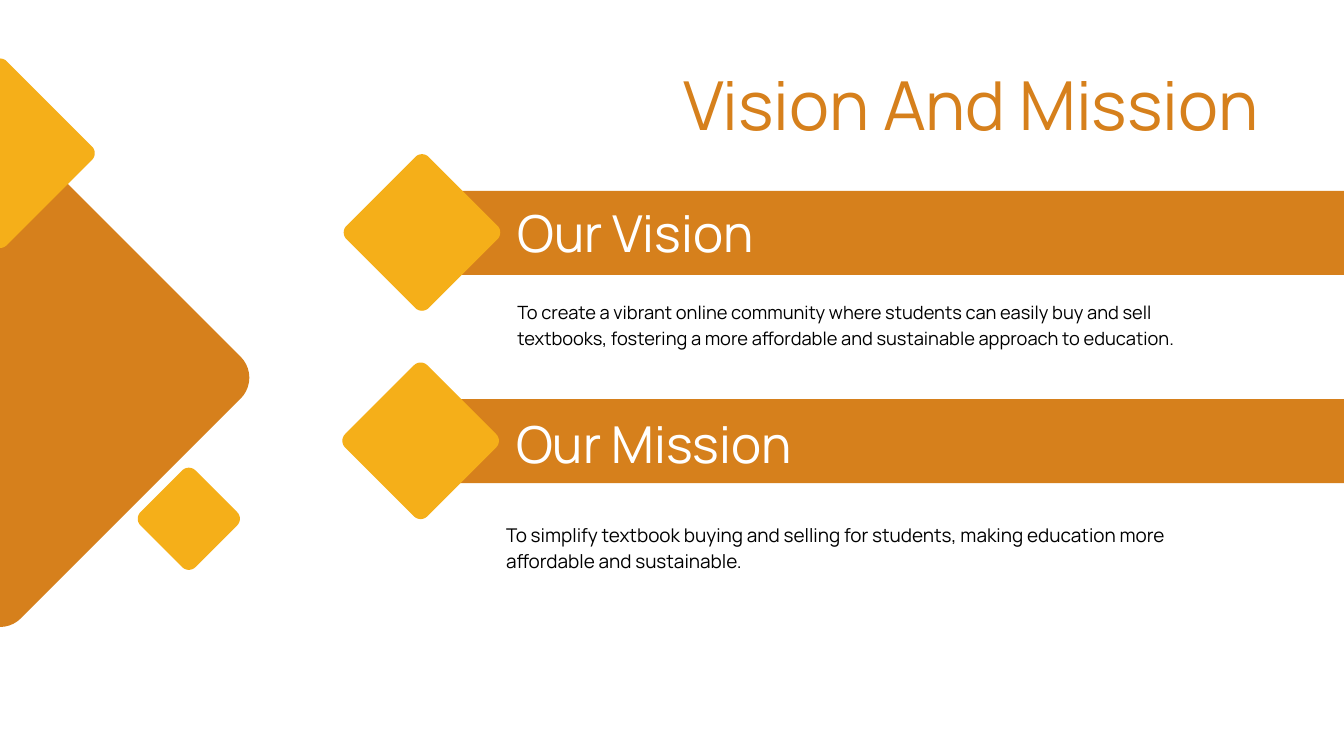
import math
from dataclasses import dataclass

import lxml.etree
import pptx
import pptx.dml.color
import pptx.enum.shapes
import pptx.enum.text
import pptx.oxml.ns
import pptx.util

Inches = pptx.util.Inches
Pt = pptx.util.Pt
Color = pptx.dml.color.RGBColor.from_string
Align = pptx.enum.text.PP_ALIGN


@dataclass(frozen=True)
class TextStyle:
    size: float
    line: float
    color: str
    align: Align


class Theme:
    font = "Manrope"
    orange = "D6801C"
    yellow = "F5AF19"
    title = TextStyle(72.4, 101.3, orange, Align.RIGHT)
    heading = TextStyle(54.5, 76.4, "FFFFFF", Align.JUSTIFY)
    vision = TextStyle(19.6, 27.5, "000000", Align.LEFT)
    mission = TextStyle(20.3, 28.4, "000000", Align.LEFT)


def paint(shape, color):
    shape.fill.solid()
    shape.fill.fore_color.rgb = Color(color)
    shape.line.fill.background()
    shape.shadow.inherit = False


def add_diamond(page, center_x, center_y, width, radius, color):
    reach = width / 2 - radius
    points = []
    for corner in range(0, 360, 90):
        turn = math.radians(corner)
        arc_x = center_x + reach * math.cos(turn)
        arc_y = center_y + reach * math.sin(turn)
        for step in range(-45, 46, 9):
            angle = math.radians(corner + step)
            points.append((Inches(arc_x + radius * math.cos(angle)),
                           Inches(arc_y + radius * math.sin(angle))))
    builder = page.shapes.build_freeform(*points[0])
    builder.add_line_segments(points[1:], close=True)
    paint(builder.convert_to_shape(), color)


def add_banner(page, left, top):
    bar = page.shapes.add_shape(
        pptx.enum.shapes.MSO_SHAPE.RECTANGLE,
        Inches(left), Inches(top), Inches(14.86), Inches(1.25))
    paint(bar, Theme.orange)
    add_diamond(page, left, top + 0.62, 2.33, 0.14, Theme.yellow)


def write(page, index, area, text, style):
    box = page.placeholders[index]
    page.shapes.element.append(box.element)
    box.left, box.top, box.width, box.height = map(Inches, area)
    frame = box.text_frame
    frame.text = text
    frame.word_wrap = True
    frame.auto_size = pptx.enum.text.MSO_AUTO_SIZE.NONE
    frame.vertical_anchor = pptx.enum.text.MSO_ANCHOR.TOP
    frame.margin_left = frame.margin_right = 0
    frame.margin_top = frame.margin_bottom = 0

    para = frame.paragraphs[0]
    properties = para._p.get_or_add_pPr()
    properties.set("marL", "0")
    properties.set("indent", "0")
    lxml.etree.SubElement(properties, pptx.oxml.ns.qn("a:buNone"))
    para.alignment = style.align
    para.line_spacing = Pt(style.line)
    para.space_before = Pt(0)

    span = para.runs[0]
    span.font.name = Theme.font
    span.font.size = Pt(style.size)
    span.font.bold = False
    span.font.color.rgb = Color(style.color)


def main():
    deck = pptx.Presentation()
    deck.slide_width = Inches(20)
    deck.slide_height = Inches(11.25)
    comparison = deck.slide_layouts[4]
    page = deck.slides.add_slide(comparison)

    add_diamond(page, 0, 5.62, 7.42, 0.44, Theme.orange)
    add_diamond(page, 0, 2.28, 2.82, 0.14, Theme.yellow)
    add_diamond(page, 2.81, 7.72, 1.52, 0.14, Theme.yellow)
    add_banner(page, 6.28, 2.84)
    add_banner(page, 6.26, 5.94)

    write(page, 0, (6.39, 0.73, 12.34, 1.43), "Vision And Mission", Theme.title)
    write(page, 1, (7.7, 2.85, 4.85, 1.07), "Our Vision", Theme.heading)
    write(page, 2, (7.7, 4.43, 10.76, 1.14),
          "To create a vibrant online community where students can easily buy "
          "and sell textbooks, fostering a more affordable and sustainable "
          "approach to education.", Theme.vision)
    write(page, 3, (7.68, 5.99, 4.85, 1.02), "Our Mission", Theme.heading)
    write(page, 4, (7.53, 7.73, 11.11, 0.78),
          "To simplify textbook buying and selling for students, making "
          "education more affordable and sustainable.", Theme.mission)
    deck.save("out.pptx")


if __name__ == "__main__":
    main()
